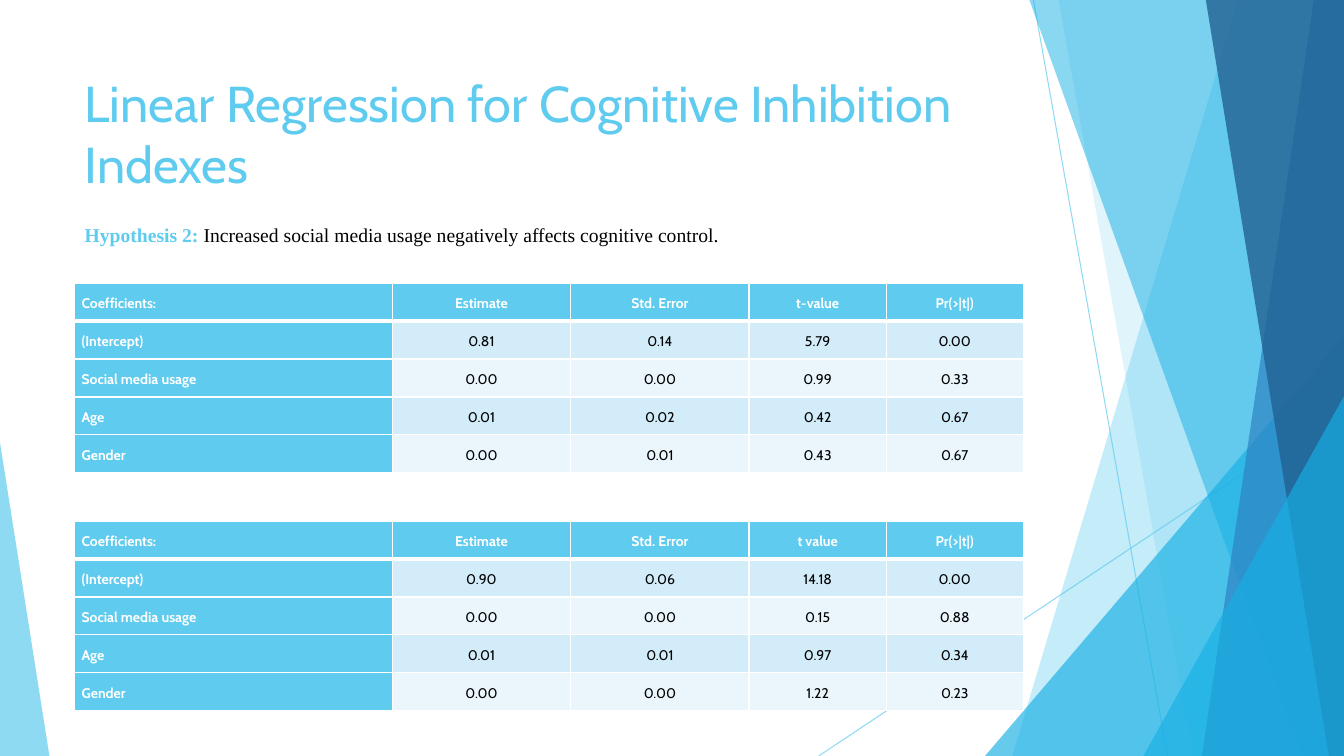
from lxml.etree import SubElement
from pptx import Presentation
from pptx.dml.color import RGBColor
from pptx.enum.shapes import MSO_CONNECTOR, MSO_SHAPE
from pptx.enum.text import MSO_ANCHOR, MSO_AUTO_SIZE, PP_ALIGN
from pptx.oxml.ns import qn
from pptx.util import Inches, Pt

TITLE = "Linear Regression for Cognitive Inhibition Indexes"
HYPOTHESIS = [("Hypothesis 2: ", "sky", True),
              ("Increased social media usage negatively affects cognitive control.", "black", False)]

COTROL_TABLE = [
    ("Coefficients:", "Estimate", "Std. Error", "t-value", "Pr(>|t|)"),
    ("(Intercept)", "0.81", "0.14", "5.79", "0.00"),
    ("Social media usage", "0.00", "0.00", "0.99", "0.33"),
    ("Age", "0.01", "0.02", "0.42", "0.67"),
    ("Gender", "0.00", "0.01", "0.43", "0.67"),
]
SECOND_TABLE = [
    ("Coefficients:", "Estimate", "Std. Error", "t value", "Pr(>|t|)"),
    ("(Intercept)", "0.90", "0.06", "14.18", "0.00"),
    ("Social media usage", "0.00", "0.00", "0.15", "0.88"),
    ("Age", "0.01", "0.01", "0.97", "0.34"),
    ("Gender", "0.00", "0.00", "1.22", "0.23"),
]
TABLES = [(2.81, COTROL_TABLE), (5.17, SECOND_TABLE)]  # top, rows
COLUMN_WIDTHS = [3.15, 1.77, 1.77, 1.36, 1.36]

COLORS = {"sky": "5FCBEF", "cyan": "17B0E4", "blue": "2E83C3", "navy": "226292",
          "band": "D2ECF9", "pale": "EAF6FC", "white": "FFFFFF", "black": "000000"}
WIDTH, HEIGHT = 13.33, 7.5
LEFT, CONTENT_WIDTH, TABLE_HEIGHT = 0.74, 9.4, 1.88

RAYS = [((10.25, 0), (11.58, HEIGHT)), ((WIDTH, 4.03), (8.12, HEIGHT))]
# Bands reach the right edge: top-left x, bottom-left x, colour, opacity in percent
# Triangles: left, top, width, apex position, colour, opacity in percent
FACETS = [
    ("band", (12.28, 10.04, "sky", 36)),
    ("band", (10.5, 11.83, "sky", 20)),
    ("triangle", (9.77, 3.33, 3.56, 1, "cyan", 66)),
    ("band", (10.21, 12.91, "cyan", 50)),
    ("band", (13.03, 11.92, "blue", 70)),
    ("band", (11.96, 13.18, "navy", 80)),
    ("triangle", (11.34, 3.93, 1.99, 1, "cyan", 66)),
    ("triangle", (0, 4.39, 0.49, 0, "sky", 70)),
]


def rgb(name):
    return RGBColor.from_string(COLORS[name])


def set_opacity(fill_parent, percent):
    color = fill_parent.find(".//" + qn("a:srgbClr"))
    SubElement(color, qn("a:alpha"), val=str(percent * 1000))


def style_facet(shape, color, opacity):
    shape.shadow.inherit = False
    shape.fill.solid()
    shape.fill.fore_color.rgb = rgb(color)
    set_opacity(shape.element.spPr, opacity)
    shape.line.fill.background()


def add_band(shapes, top_x, bottom_x, color, opacity):
    corners = [(Inches(x), Inches(y)) for x, y in
               [(top_x, 0), (WIDTH, 0), (WIDTH, HEIGHT), (bottom_x, HEIGHT)]]
    builder = shapes.build_freeform(*corners[0], scale=1.0)
    builder.add_line_segments(corners[1:], close=True)
    style_facet(builder.convert_to_shape(), color, opacity)


def add_triangle(shapes, left, top, width, apex, color, opacity):
    triangle = shapes.add_shape(MSO_SHAPE.ISOSCELES_TRIANGLE, Inches(left), Inches(top),
                                Inches(width), Inches(HEIGHT - top))
    triangle.adjustments[0] = apex
    style_facet(triangle, color, opacity)


def add_ray(shapes, start, end):
    ray = shapes.add_connector(MSO_CONNECTOR.STRAIGHT, *map(Inches, start + end))
    ray.line.color.rgb = rgb("sky")
    ray.line.width = Pt(0.75)
    properties = ray.element.spPr
    set_opacity(properties, 70)
    SubElement(properties, qn("a:effectLst"))


def set_borders(cell, top, bottom):
    """Draw white cell borders; top and bottom are widths in points."""
    properties = cell._tc.get_or_add_tcPr()
    for side, width in (("L", 1), ("R", 1), ("T", top), ("B", bottom)):
        border = SubElement(properties, qn(f"a:ln{side}"), w=str(Pt(width)))
        fill = SubElement(border, qn("a:solidFill"))
        SubElement(fill, qn("a:srgbClr"), val=COLORS["white"])


def style_cell(cell, row, column):
    is_heading = row == 0 or column == 0
    set_borders(cell, top=3 if row == 1 else 1, bottom=3 if row == 0 else 1)
    cell.fill.solid()
    cell.fill.fore_color.rgb = rgb("sky" if is_heading else "band" if row % 2 else "pale")
    cell.vertical_anchor = MSO_ANCHOR.MIDDLE
    cell.margin_left = cell.margin_right = Inches(0.07)
    cell.margin_top = cell.margin_bottom = 0
    paragraph = cell.text_frame.paragraphs[0]
    paragraph.alignment = PP_ALIGN.CENTER if column else PP_ALIGN.LEFT
    paragraph.line_spacing = 1.2
    paragraph.space_after = Pt(12)
    paragraph.font.name = "Cabin"
    paragraph.font.size = Pt(10)
    paragraph.font.bold = is_heading
    paragraph.font.color.rgb = rgb("white" if is_heading else "black")


def add_coefficient_table(shapes, top, rows):
    table = shapes.add_table(len(rows), len(COLUMN_WIDTHS), Inches(LEFT), Inches(top),
                             Inches(CONTENT_WIDTH), Inches(TABLE_HEIGHT)).table
    for column, width in zip(table.columns, COLUMN_WIDTHS):
        column.width = Inches(width)
    for row, values in enumerate(rows):
        for column, value in enumerate(values):
            cell = table.cell(row, column)
            cell.text = value
            style_cell(cell, row, column)


def add_title(shapes):
    title = shapes.title
    title.left, title.top = Inches(LEFT), Inches(0.67)
    title.width, title.height = Inches(CONTENT_WIDTH), Inches(1.44)
    title.text_frame.text = TITLE
    title.text_frame.word_wrap = True
    title.text_frame.auto_size = MSO_AUTO_SIZE.NONE
    title.text_frame.vertical_anchor = MSO_ANCHOR.TOP
    paragraph = title.text_frame.paragraphs[0]
    paragraph.alignment = PP_ALIGN.LEFT
    paragraph.font.name = "Cabin"
    paragraph.font.size = Pt(36)
    paragraph.font.color.rgb = rgb("sky")


def add_hypothesis(shapes):
    box = shapes.add_textbox(Inches(LEFT), Inches(2.16), Inches(8.43), Inches(0.34))
    box.text_frame.word_wrap = True
    box.text_frame.auto_size = MSO_AUTO_SIZE.SHAPE_TO_FIT_TEXT
    paragraph = box.text_frame.paragraphs[0]
    paragraph.font.name = "Times New Roman"
    paragraph.font.size = Pt(14)
    for text, color, bold in HYPOTHESIS:
        run = paragraph.add_run()
        run.text = text
        run.font.bold = bold
        run.font.color.rgb = rgb(color)


def main():
    presentation = Presentation()
    presentation.slide_width, presentation.slide_height = Inches(WIDTH), Inches(HEIGHT)
    shapes = presentation.slides.add_slide(presentation.slide_layouts[5]).shapes
    for start, end in RAYS:
        add_ray(shapes, start, end)
    for kind, values in FACETS:
        add_facet = add_band if kind == "band" else add_triangle
        add_facet(shapes, *values)
    add_title(shapes)
    for top, rows in TABLES:
        add_coefficient_table(shapes, top, rows)
    add_hypothesis(shapes)
    presentation.save("out.pptx")


if __name__ == "__main__":
    main()
